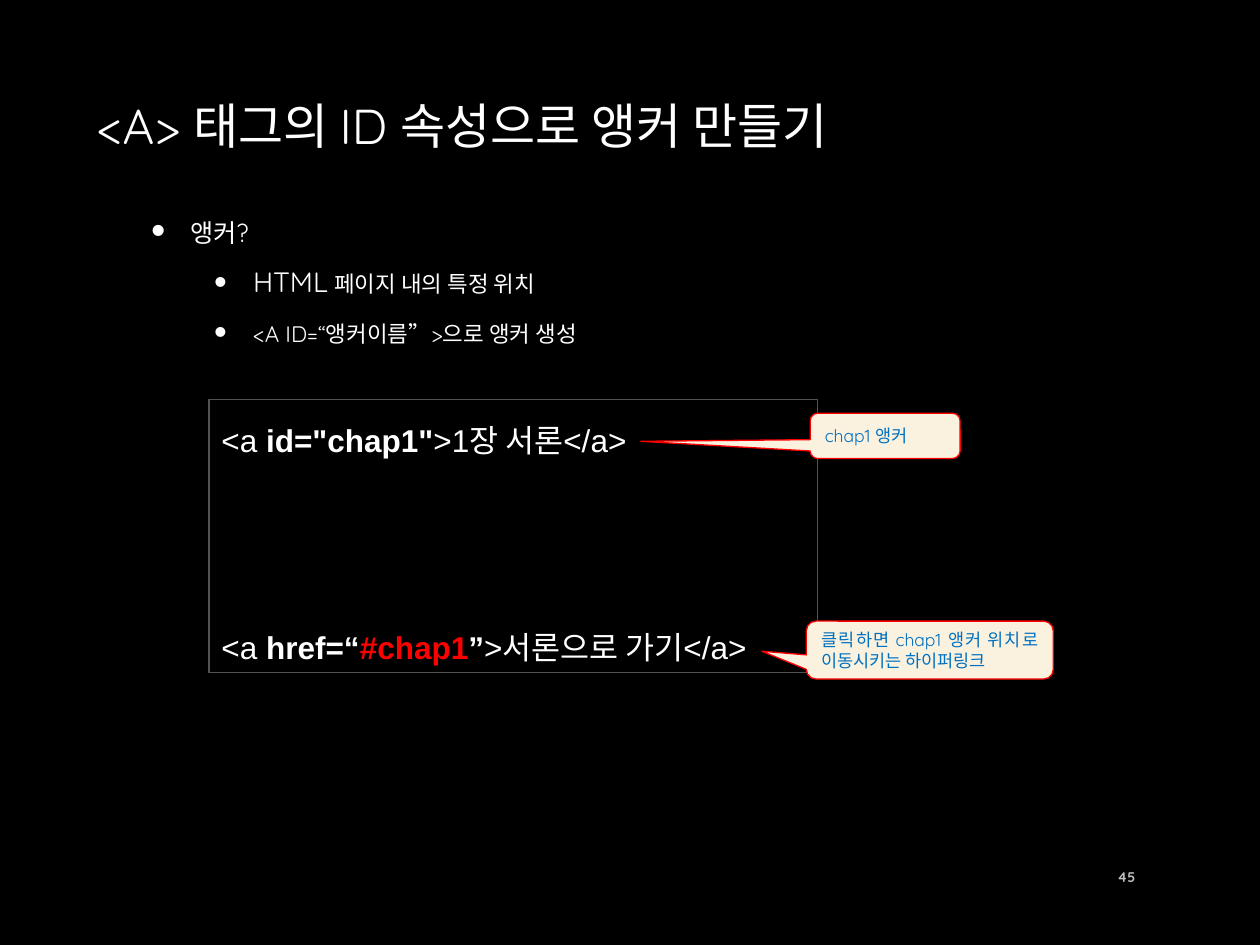
"""Build the slide on making anchors with the ID attribute of the A tag."""
from lxml.etree import SubElement
from pptx import Presentation
from pptx.dml.color import RGBColor
from pptx.enum.shapes import MSO_SHAPE as Shape
from pptx.enum.text import MSO_ANCHOR as Anchor, PP_ALIGN as Align
from pptx.oxml.ns import qn
from pptx.util import Inches, Pt

COLORS = {"black": "000000", "white": "FFFFFF", "gray": "BFBFBF", "frame": "535353",
          "red": "FF0000", "cream": "FAF2DF", "blue": "0070C0"}


def color(name):
    return RGBColor.from_string(COLORS[name])


def write(paragraph, text, size=18, font="Quicksand", fill="white", bold=False,
          small_caps=False, align=Align.LEFT):
    paragraph.alignment = align
    run = paragraph.add_run()
    run.text = text
    run.font.size = Pt(size)
    run.font.name = font
    run.font.bold = bold
    run.font.color.rgb = color(fill)
    if small_caps:
        run.font._element.set("cap", "small")


deck = Presentation()
deck.slide_width, deck.slide_height = Inches(10), Inches(7.5)
slide = deck.slides.add_slide(deck.slide_layouts[5])
slide.background.fill.solid()
slide.background.fill.fore_color.rgb = color("black")
shapes = slide.shapes

title = shapes.title
title.left, title.top, title.width, title.height = map(Inches, (0.67, 0.53, 8.21, 0.93))
title.text_frame.vertical_anchor = Anchor.MIDDLE
write(title.text_frame.paragraphs[0], "<A> 태그의 ID 속성으로 앵커 만들기", size=28)

points = shapes.add_textbox(Inches(1.1), Inches(1.47), Inches(8.21), Inches(1.5)).text_frame
points.word_wrap = True
points.vertical_anchor = Anchor.MIDDLE
for index, (level, size, text) in enumerate([
    (0, 18, "앵커?"),
    (1, 16, "HTML 페이지 내의 특정 위치"),
    (1, 16, "<a id=“앵커이름”>으로 앵커 생성"),
]):
    point = points.add_paragraph() if index else points.paragraphs[0]
    point.level = level
    properties = point._p.get_or_add_pPr()
    properties.set("marL", str(Inches(0.31 + 0.5 * level)))
    properties.set("indent", str(Inches(-0.31)))
    SubElement(SubElement(properties, qn("a:buClr")), qn("a:srgbClr"), val=COLORS["white"])
    SubElement(properties, qn("a:buSzPct"), val="130000")
    SubElement(properties, qn("a:buFont"), typeface="Arial")
    SubElement(properties, qn("a:buChar"), char="•")
    if index:
        point.space_before = Pt(3.2)
    point.space_after = Pt(6)
    write(point, text, size=size, small_caps=True)

page_number = shapes.add_textbox(Inches(8.66), Inches(6.76), Inches(0.45), Inches(0.4)).text_frame
page_number.word_wrap = True
page_number.vertical_anchor = Anchor.MIDDLE
write(page_number.paragraphs[0], "45", size=8, fill="gray", bold=True, align=Align.RIGHT)

code_box = shapes.add_shape(Shape.RECTANGLE, Inches(1.66), Inches(3.17), Inches(4.83), Inches(2.17))
code_box.shadow.inherit = False
code_box.fill.background()
code_box.line.color.rgb = color("frame")
code_box.line.width = Pt(0.75)
code = code_box.text_frame
code.word_wrap = True
code.vertical_anchor = Anchor.TOP
for index, pieces in enumerate([
    [("<a ", {}), ('id="chap1"', {"bold": True}), (">1장 서론</a>", {})],
    [("<a ", {}), ("href=“", {"bold": True}), ("#chap1", {"bold": True, "fill": "red"}),
     ("”", {"bold": True}), (">서론으로 가기</a>", {})],
]):
    line = code.add_paragraph() if index else code.paragraphs[0]
    line.line_spacing = 1.4
    if index:
        line.space_before = Pt(88)
    for text, style in pieces:
        write(line, text, font="Arial", **style)

for left, top, width, height, tip_x, tip_y, text in [
    (6.43, 3.28, 1.19, 0.36, -1.63, 0.12, "chap1 앵커"),
    (6.4, 4.93, 1.96, 0.46, -0.68, 0.02, "클릭하면 chap1 앵커 위치로 이동시키는 하이퍼링크"),
]:
    callout = shapes.add_shape(Shape.ROUNDED_RECTANGULAR_CALLOUT, Inches(left), Inches(top),
                               Inches(width), Inches(height))
    callout.adjustments[0], callout.adjustments[1] = tip_x, tip_y
    callout.shadow.inherit = False
    callout.fill.solid()
    callout.fill.fore_color.rgb = color("cream")
    callout.line.color.rgb = color("red")
    callout.line.width = Pt(0.75)
    callout.text_frame.word_wrap = True
    callout.text_frame.vertical_anchor = Anchor.MIDDLE
    write(callout.text_frame.paragraphs[0], text, size=10, fill="blue", align=Align.JUSTIFY)

deck.save("out.pptx")
